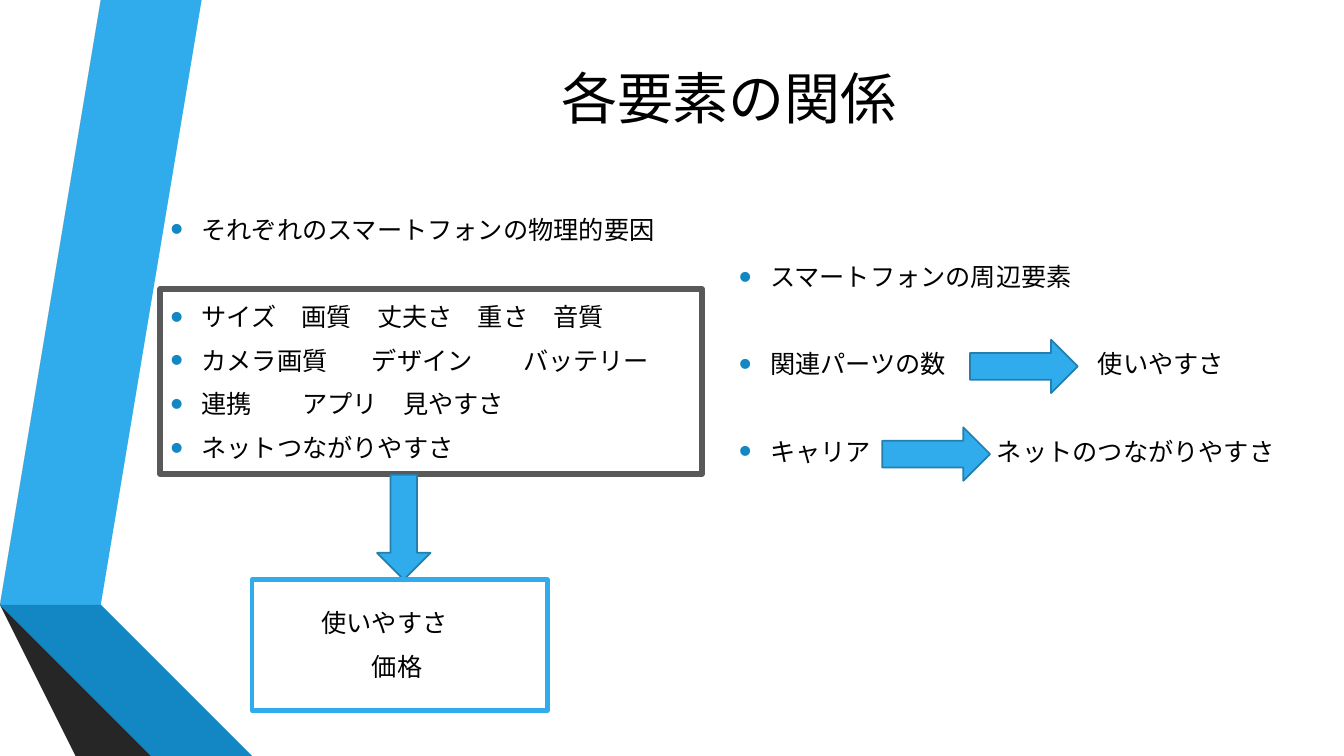
"""Builds the slide on how the smartphone factors relate."""
from lxml.etree import SubElement
from pptx import Presentation
from pptx.dml.color import RGBColor
from pptx.enum.lang import MSO_LANGUAGE_ID
from pptx.enum.shapes import MSO_SHAPE
from pptx.enum.text import MSO_ANCHOR, PP_ALIGN
from pptx.oxml.ns import qn
from pptx.util import Inches, Pt


def paint(fmt, color):
    fmt.solid()
    fmt.fore_color.rgb = RGBColor.from_string(color)


def write(p, text, size):
    r = p.add_run()
    r.text = text
    font = {"name": "Calibri", "size": Pt(size), "language_id": MSO_LANGUAGE_ID.JAPANESE}
    for key, value in font.items():
        setattr(r.font, key, value)
    paint(r.font.fill, "000000")


prs = Presentation()
prs.slide_width, prs.slide_height = Inches(13.33), Inches(7.5)
s = prs.slides.add_slide(prs.slide_layouts[5])

ribbons = [
    ("30ACEC", [(0.5, 5.78), (0.77, 5.83), (1.73, 0), (1.45, 0)]),
    ("595959", [(1.39, 0), (1.11, 0), (0.16, 5.73), (0.44, 5.77)]),
    ("262626", [(0.16, 5.73), (1.45, 7.5), (1.51, 7.5)]),
    ("0C5A82", [(0.5, 5.79), (2.08, 7.5), (2.14, 7.5)]),
    ("1287C3", [(0.5, 5.79), (2.14, 7.5), (2.83, 7.5), (0.77, 5.83), (0.5, 5.78)]),
    ("404040", [(2.02, 7.5), (0.48, 5.83), (0.44, 5.77), (0.16, 5.73), (1.51, 7.5)]),
]
for color, points in ribbons:
    fb = s.shapes.build_freeform(*points[0], scale=Inches(1))
    fb.add_line_segments(points[1:], close=True)
    sp = fb.convert_to_shape()
    sp.shadow.inherit = False
    paint(sp.fill, color)
    sp.line.fill.background()

title = s.shapes.title
title_box = {"left": 1.75, "top": 0, "width": 10.96, "height": 1.92}
for key, value in title_box.items():
    setattr(title, key, Inches(value))
title.text_frame.vertical_anchor = MSO_ANCHOR.MIDDLE
title.text_frame.paragraphs[0].alignment = PP_ALIGN.CENTER
write(title.text_frame.paragraphs[0], "各要素の関係", 40)

# text, skipped lines above, bulleted, indent, tab stop
texts = [
    ((1.59, 1.38, 5.35, 6.12), [
        ("それぞれのスマートフォンの物理的要因", 0, True, 0.31, None),
        ("サイズ　画質　丈夫さ　重さ　音質", 1, True, 0.31, None),
        ("カメラ画質\tデザイン\tバッテリー", 0, True, 0.31, None),
        ("連携\tアプリ　見やすさ", 0, True, 0.31, 1.31),
        ("ネットつながりやすさ", 0, True, 0.31, None),
        ("使いやすさ", 3, False, 1.5, None),
        ("価格", 0, False, 2, None),
    ]),
    ((7.23, 2.12, 6.11, 2.98), [
        ("スマートフォンの周辺要素", 0, True, 0.31, None),
        ("関連パーツの数\t使いやすさ", 1, True, 0.31, 3.56),
        ("キャリア\tネットのつながりやすさ", 1, True, 0.31, 2.56),
    ]),
]
for box, lines in texts:
    tf = s.shapes.add_textbox(*map(Inches, box)).text_frame
    tf.word_wrap = True
    tf.vertical_anchor = MSO_ANCHOR.MIDDLE
    for i, (text, skipped, bulleted, indent, stop) in enumerate(lines):
        p = tf.add_paragraph() if i else tf.paragraphs[0]
        p.space_before, p.space_after = Pt(3.6 + 31.2 * skipped), Pt(6)
        write(p, text, 18)
        pPr = p._p.get_or_add_pPr()
        pPr.set("marL", str(Inches(indent)))
        if bulleted:
            pPr.set("indent", str(-Inches(indent)))
            SubElement(SubElement(pPr, qn("a:buClr")), qn("a:srgbClr"), val="1287C3")
            SubElement(pPr, qn("a:buSzPct"), val="145000")
            SubElement(pPr, qn("a:buFont"), typeface="Arial")
            SubElement(pPr, qn("a:buChar"), char="•")
        if stop:
            tabs = SubElement(pPr, qn("a:tabLst"))
            SubElement(tabs, qn("a:tab"), pos=str(Inches(stop)), algn="l")

shapes = [
    (MSO_SHAPE.RECTANGLE, (1.59, 2.87, 5.37, 1.83), None, "595959", 4.5),
    (MSO_SHAPE.DOWN_ARROW, (3.74, 4.71, 0.53, 1.04), "30ACEC", "247FAF", 1.25),
    (MSO_SHAPE.RECTANGLE, (2.5, 5.75, 2.93, 1.3), None, "30ACEC", 3),
    (MSO_SHAPE.RIGHT_ARROW, (9.62, 3.37, 1.07, 0.53), "30ACEC", "247FAF", 1.25),
    (MSO_SHAPE.RIGHT_ARROW, (8.75, 4.24, 1.07, 0.53), "30ACEC", "247FAF", 1.25),
]
for kind, box, fill, line, width in shapes:
    sp = s.shapes.add_shape(kind, *map(Inches, box))
    sp.shadow.inherit = False
    if fill:
        paint(sp.fill, fill)
    else:
        sp.fill.background()
    paint(sp.line.fill, line)
    sp.line.width = Pt(width)

prs.save("out.pptx")
